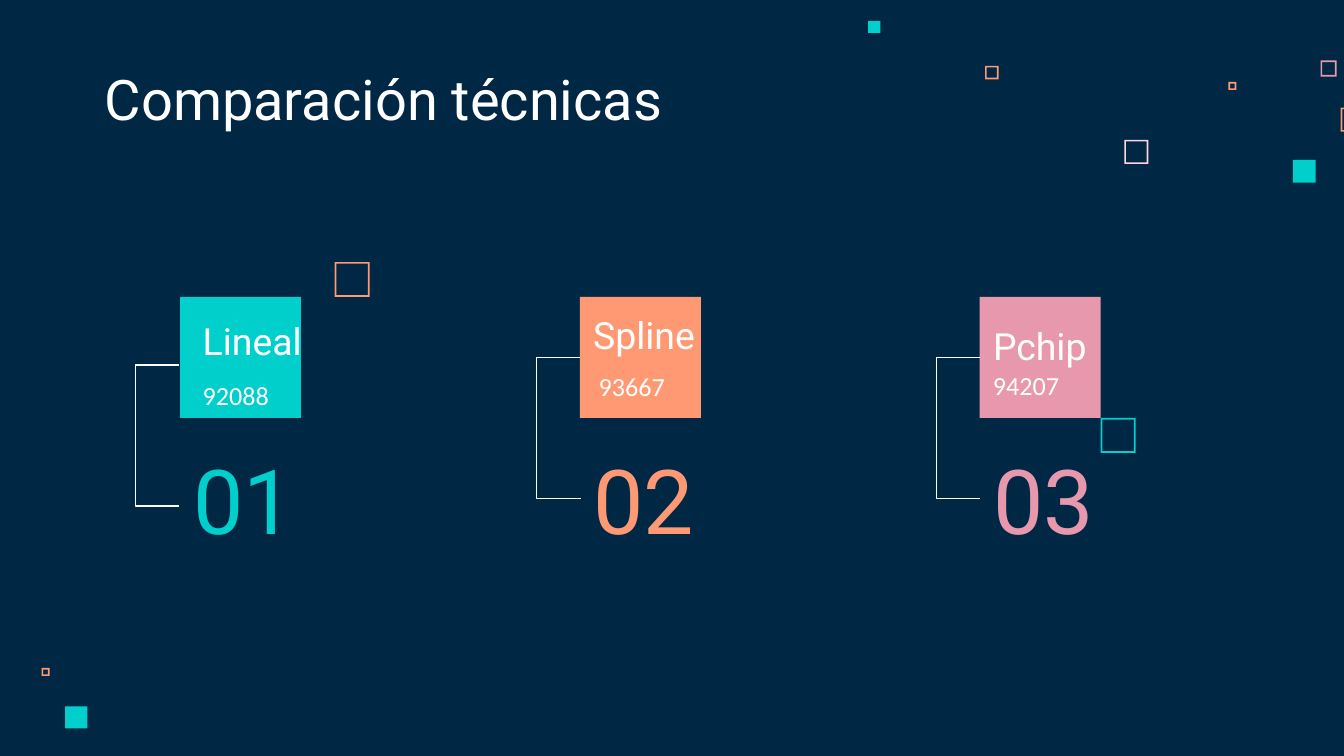
from lxml.etree import SubElement
from pptx import Presentation
from pptx.dml.color import RGBColor
from pptx.enum.shapes import MSO_CONNECTOR, MSO_SHAPE
from pptx.enum.text import MSO_ANCHOR, MSO_AUTO_SIZE, PP_ALIGN
from pptx.oxml.ns import qn
from pptx.util import Pt

PX = 4572
NAVY = RGBColor(0x00, 0x28, 0x45)
TEAL = RGBColor(0x00, 0xCF, 0xCC)
ORANGE = RGBColor(0xFF, 0x99, 0x73)
PINK = RGBColor(0xE8, 0x98, 0xAC)
PALE_PINK = RGBColor(0xFF, 0xD6, 0xE1)
WHITE = RGBColor(0xFF, 0xFF, 0xFF)

SQUARE = 180
BRACKET_DEPTH = 63
BRACKET_HEIGHT = 210
FRAME_THICKNESS = 2.5

DECORATIONS = [
    (1673, 208, 36, PALE_PINK, True),
    (1965, 90, 24, PINK, True),
    (1828, 122, 12, ORANGE, True),
    (1995, 160, 36, ORANGE, True),
    (1924, 238, 34, TEAL, False),
    (1466, 98, 20, ORANGE, True),
    (1292, 31, 18, TEAL, False),
    (62, 994, 12, ORANGE, True),
    (97, 1051, 33, TEAL, False),
    (498, 390, 52, ORANGE, True),
    (1638, 622, 52, TEAL, True),
]

TECHNIQUES = [
    dict(left=268, number="01", color=TEAL, name="Lineal", name_at=(14, -8),
         value="92088", value_at=(14, 102), bracket_at=(-2, 101), joined=False),
    dict(left=863, number="02", color=ORANGE, name="Spline", name_at=(0, -17),
         value="93667", value_at=(8, 90), bracket_at=(0, 90), joined=True),
    dict(left=1458, number="03", color=PINK, name="Pchip", name_at=(0, 0),
         value="94207", value_at=(0, 88), bracket_at=(0, 90), joined=True),
]


def write_text(shape, text, size, color, font="Roboto", anchor=MSO_ANCHOR.BOTTOM):
    frame = shape.text_frame
    frame.word_wrap = True
    frame.auto_size = MSO_AUTO_SIZE.NONE
    frame.vertical_anchor = anchor
    frame.margin_left = frame.margin_right = 20 * PX
    frame.margin_top = frame.margin_bottom = 20 * PX
    paragraph = frame.paragraphs[0]
    paragraph.alignment = PP_ALIGN.LEFT
    paragraph.line_spacing = 1.0
    paragraph.space_before = Pt(0)
    run = paragraph.add_run()
    run.text = text
    run.font.name = font
    run.font.size = Pt(size)
    run.font.color.rgb = color


def add_text(slide, left, top, width, height, text, **text_format):
    shape = slide.shapes.add_textbox(left * PX, top * PX, width * PX, height * PX)
    write_text(shape, text, **text_format)


def add_square(slide, left, top, size, color, hollow=False):
    kind = MSO_SHAPE.FRAME if hollow else MSO_SHAPE.RECTANGLE
    shape = slide.shapes.add_shape(kind, left * PX, top * PX, size * PX, size * PX)
    if hollow:
        shape.adjustments[0] = FRAME_THICKNESS / size
    shape.shadow.inherit = False
    shape.fill.solid()
    shape.fill.fore_color.rgb = color
    shape.line.fill.background()
    return shape


def add_bracket(slide, left, top, square=None):
    connector = slide.shapes.add_connector(
        MSO_CONNECTOR.ELBOW,
        left * PX, top * PX, (left + 1) * PX, (top + BRACKET_HEIGHT) * PX)
    if square is not None:
        connector.begin_connect(square, 1)
    connector.line.color.rgb = WHITE
    connector.line.width = Pt(0.75)
    properties = connector._element.spPr
    SubElement(properties, qn("a:effectLst"))
    adjustments = properties.find(qn("a:prstGeom")).get_or_add_avLst()
    SubElement(adjustments, qn("a:gd"), name="adj1",
               fmla=f"val {-BRACKET_DEPTH * 100000}")


def add_title(slide, left, top, width, height, text):
    title = slide.shapes.title
    title.left, title.top = left * PX, top * PX
    title.width, title.height = width * PX, height * PX
    write_text(title, text, size=30, color=WHITE)


def add_technique(slide, left, top, number, color, name, name_at,
                  value, value_at, bracket_at, joined):
    square = add_square(slide, left, top, SQUARE, color)
    add_bracket(slide, left + bracket_at[0], top + bracket_at[1],
                square if joined else None)
    add_text(slide, left, top + 237, 384, 126, number,
             size=48, color=color, anchor=MSO_ANCHOR.MIDDLE)
    add_text(slide, left + name_at[0], top + name_at[1], 304, 126, name,
             size=20, color=WHITE)
    add_text(slide, left + value_at[0], top + value_at[1], 180, 88, value,
             size=14, color=WHITE, font="Calibri", anchor=MSO_ANCHOR.TOP)


def main():
    presentation = Presentation()
    presentation.slide_width = 2000 * PX
    presentation.slide_height = 1125 * PX
    slide = presentation.slides.add_slide(presentation.slide_layouts[5])
    slide.background.fill.solid()
    slide.background.fill.fore_color.rgb = NAVY
    for left, top, size, color, hollow in DECORATIONS:
        add_square(slide, left, top, size, color, hollow)
    add_title(slide, 136, 90, 1000, 126, "Comparación técnicas")
    for technique in TECHNIQUES:
        add_technique(slide, top=442, **technique)
    presentation.save("out.pptx")


if __name__ == "__main__":
    main()
